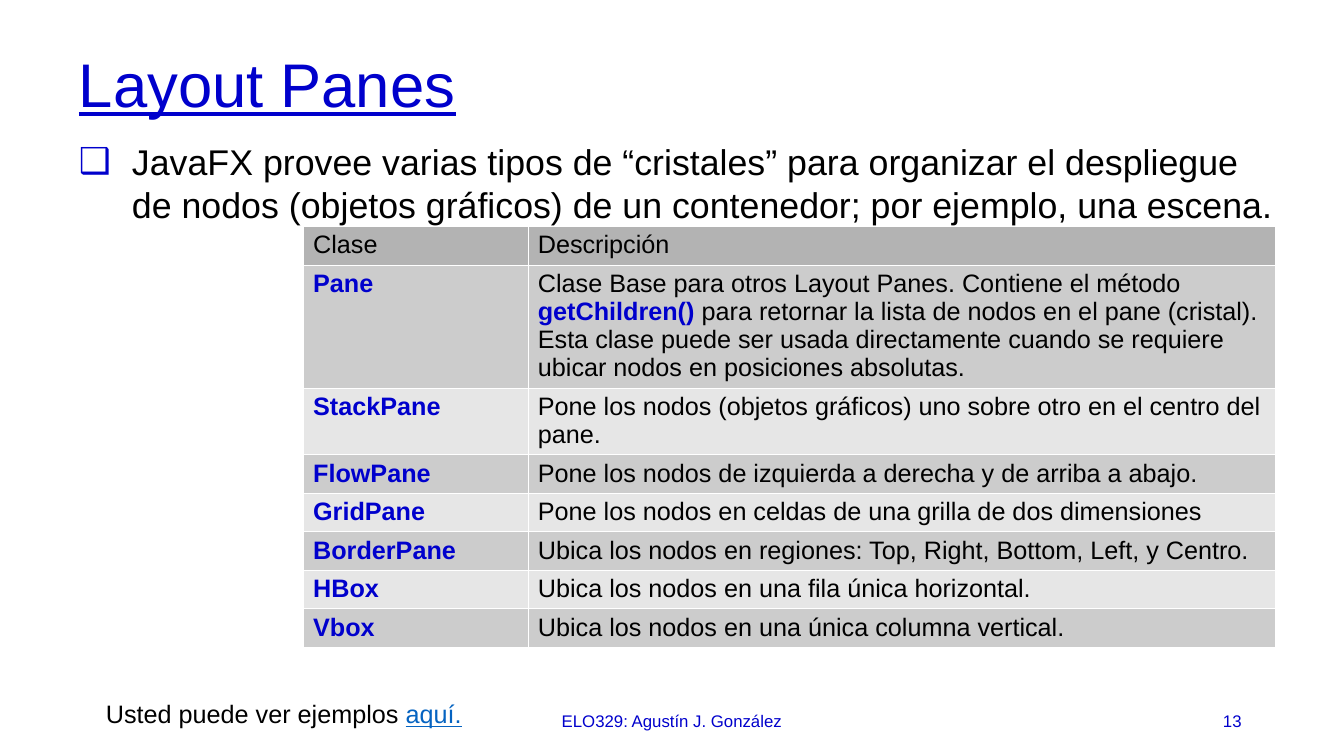
from dataclasses import dataclass

from lxml.etree import SubElement
from pptx import Presentation
from pptx.dml.color import RGBColor
from pptx.enum.shapes import MSO_SHAPE as Preset
from pptx.enum.text import MSO_ANCHOR as Anchor, PP_ALIGN as Align
from pptx.oxml.ns import qn
from pptx.util import Pt


@dataclass(frozen=True)
class Theme:
    font: str = "Arial"
    accent: str = "0000CC"
    text: str = "000000"
    link: str = "0563C1"
    paper: str = "FFFFFF"
    header: str = "B3B3B3"
    bands: tuple = ("CCCCCC", "E6E6E6")
    title_size: float = 44
    body_size: float = 25.5
    table_size: float = 18
    table_leading: float = 20
    footer_size: float = 12
    border: float = 0.06


THEME = Theme()

PANES = [
    ("Pane", [
        ("Clase Base para otros Layout Panes. Contiene el método ", {}),
        ("getChildren()", {"bold": True, "color": THEME.accent}),
        (" para retornar la lista de nodos en el pane (cristal). Esta clase puede ser usada "
         "directamente cuando se requiere ubicar nodos en posiciones absolutas.", {}),
    ], 87.9),
    ("StackPane", [("Pone los nodos (objetos gráficos) uno sobre otro en el centro del pane.", {})], 47.8),
    ("FlowPane", [("Pone los nodos de izquierda a derecha y de arriba a abajo.", {})], 27.5),
    ("GridPane", [("Pone los nodos en celdas de una grilla de dos dimensiones", {})], 27.5),
    ("BorderPane", [("Ubica los nodos en regiones: Top, Right, Bottom, Left, y Centro.", {})], 27.5),
    ("HBox", [("Ubica los nodos en una fila única horizontal.", {})], 27.5),
    ("Vbox", [("Ubica los nodos en una única columna vertical.", {})], 27.5),
]


def apply_format(target, values):
    for name, value in values.items():
        setattr(target, name, value)


def write_runs(paragraph, runs, size, color=THEME.text):
    for text, changes in runs:
        run = paragraph.add_run()
        run.text = text
        values = {"name": THEME.font, "size": Pt(size), "bold": False, **changes}
        run_color = values.pop("color", color)
        apply_format(run.font, values)
        run.font.color.rgb = RGBColor.from_string(run_color)


def add_text(slide, box, runs, size, color=THEME.text, anchor=Anchor.TOP, **layout):
    shape = slide.shapes.add_textbox(*map(Pt, box))
    apply_format(shape.text_frame, {"word_wrap": True, "vertical_anchor": anchor})
    paragraph = shape.text_frame.paragraphs[0]
    apply_format(paragraph, layout)
    write_runs(paragraph, runs, size, color)
    return paragraph


def add_title(slide, box):
    add_text(slide, box, [("Layout Panes", {"underline": True})], THEME.title_size,
             THEME.accent, Anchor.MIDDLE, line_spacing=0.9)


def add_introduction(slide, box):
    text = ("JavaFX provee varias tipos de “cristales” para organizar el despliegue "
            "de nodos (objetos gráficos) de un contenedor; por ejemplo, una escena.")
    paragraph = add_text(slide, box, [(text, {})], THEME.body_size,
                         line_spacing=1.0, space_after=Pt(4))
    properties = paragraph._p.get_or_add_pPr()
    properties.set("marL", str(Pt(38)))
    properties.set("indent", str(-Pt(38)))
    bullet_color = SubElement(properties, qn("a:buClr"))
    SubElement(bullet_color, qn("a:srgbClr"), val=THEME.accent)
    SubElement(properties, qn("a:buFont"), typeface=THEME.font)
    SubElement(properties, qn("a:buChar"), char="❑")


def set_borders(cell):
    properties = cell._tc.get_or_add_tcPr()
    for position, side in enumerate(("lnL", "lnR", "lnT", "lnB")):
        line = properties.makeelement(qn(f"a:{side}"), {"w": str(Pt(THEME.border))})
        fill = SubElement(line, qn("a:solidFill"))
        SubElement(fill, qn("a:srgbClr"), val=THEME.paper)
        properties.insert(position, line)


def fill_cell(cell, runs, background):
    apply_format(cell, {"margin_left": Pt(7.2), "margin_right": Pt(7.2),
                        "margin_top": Pt(3.6), "margin_bottom": Pt(3.6)})
    cell.fill.solid()
    cell.fill.fore_color.rgb = RGBColor.from_string(background)
    set_borders(cell)
    paragraph = cell.text_frame.paragraphs[0]
    paragraph.line_spacing = Pt(THEME.table_leading)
    write_runs(paragraph, runs, THEME.table_size)


def add_pane_table(slide, box):
    table = slide.shapes.add_table(len(PANES) + 1, 2, *map(Pt, box)).table
    name_width = 160.5
    for column, width in zip(table.columns, (name_width, box[2] - name_width)):
        column.width = Pt(width)
    table.rows[0].height = Pt(27.5)
    for column, heading in enumerate(("Clase", "Descripción")):
        fill_cell(table.cell(0, column), [(heading, {})], THEME.header)
    for index, (name, description, height) in enumerate(PANES):
        row = index + 1
        table.rows[row].height = Pt(height)
        background = THEME.bands[index % 2]
        name_runs = [(name, {"bold": True, "color": THEME.accent})]
        fill_cell(table.cell(row, 0), name_runs, background)
        fill_cell(table.cell(row, 1), description, background)


def add_examples_note(slide, box):
    shape = slide.shapes.add_shape(Preset.RECTANGLE, *map(Pt, box))
    shape.shadow.inherit = False
    shape.fill.solid()
    shape.fill.fore_color.rgb = RGBColor.from_string(THEME.paper)
    shape.line.fill.background()
    apply_format(shape.text_frame, {"word_wrap": True, "vertical_anchor": Anchor.TOP})
    paragraph = shape.text_frame.paragraphs[0]
    paragraph.alignment = Align.LEFT
    write_runs(paragraph, [("Usted puede ver ejemplos ", {}),
                           ("aquí.", {"color": THEME.link, "underline": True})], THEME.table_size)


def add_footer(slide, box):
    left, top, width, height = box
    number_width = 216
    parts = [
        ("ELO329: Agustín J. González", left, 324, Align.CENTER),
        ("13", left + width - number_width, number_width, Align.RIGHT),
    ]
    for text, part_left, part_width, alignment in parts:
        add_text(slide, (part_left, top, part_width, height), [(text, {})], THEME.footer_size,
                 THEME.accent, Anchor.MIDDLE, alignment=alignment)


def main():
    presentation = Presentation()
    apply_format(presentation, {"slide_width": Pt(960), "slide_height": Pt(540)})
    slide = presentation.slides.add_slide(presentation.slide_layouts[6])
    add_title(slide, (49.2, 28.2, 870, 68.4))
    add_introduction(slide, (49.2, 96.6, 870, 98.6))
    add_pane_table(slide, (216.5, 161.5, 694, 300.7))
    add_examples_note(slide, (68.6, 495.4, 296, 31.7))
    add_footer(slide, (318, 500.5, 576, 28.8))
    presentation.save("out.pptx")


if __name__ == "__main__":
    main()
